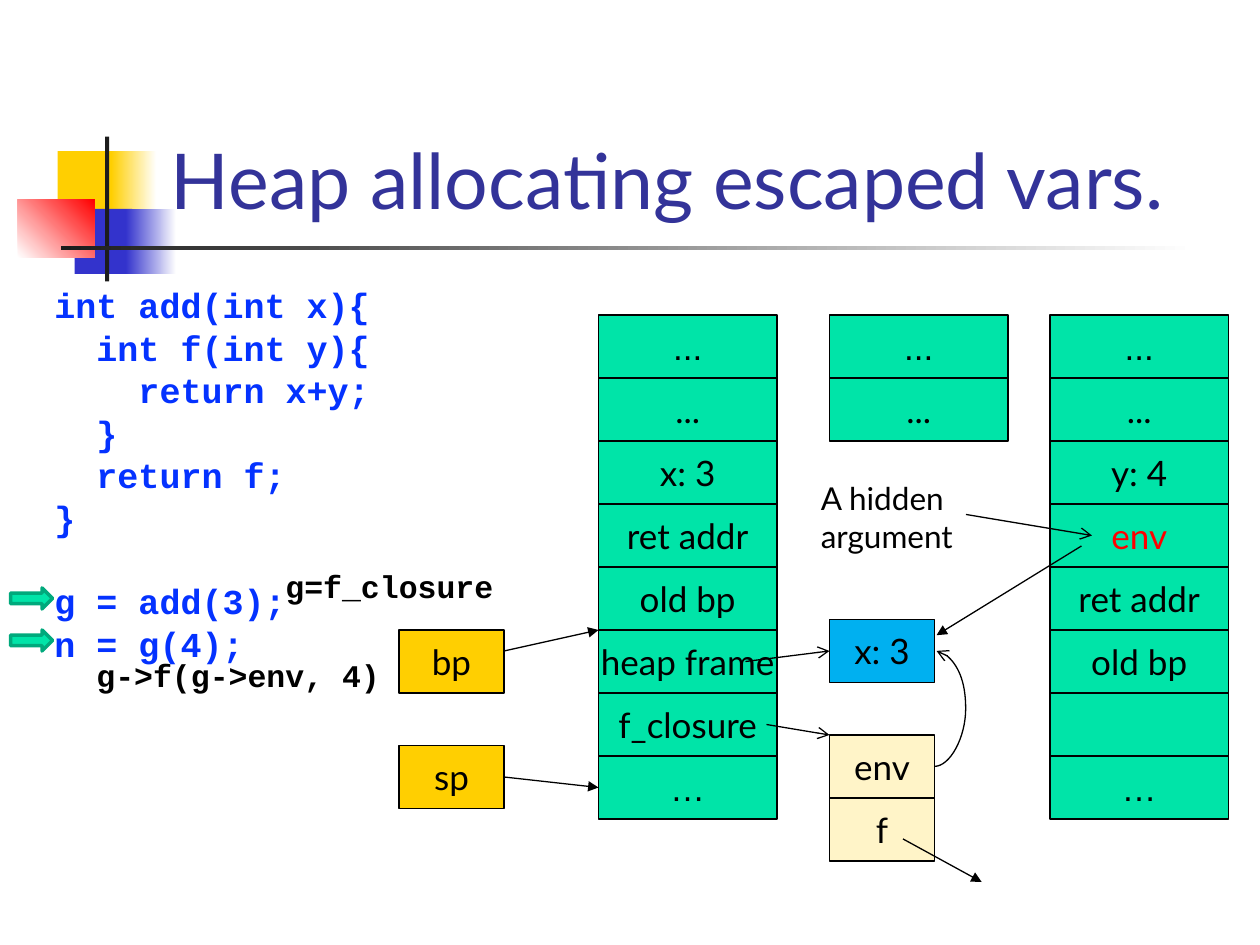
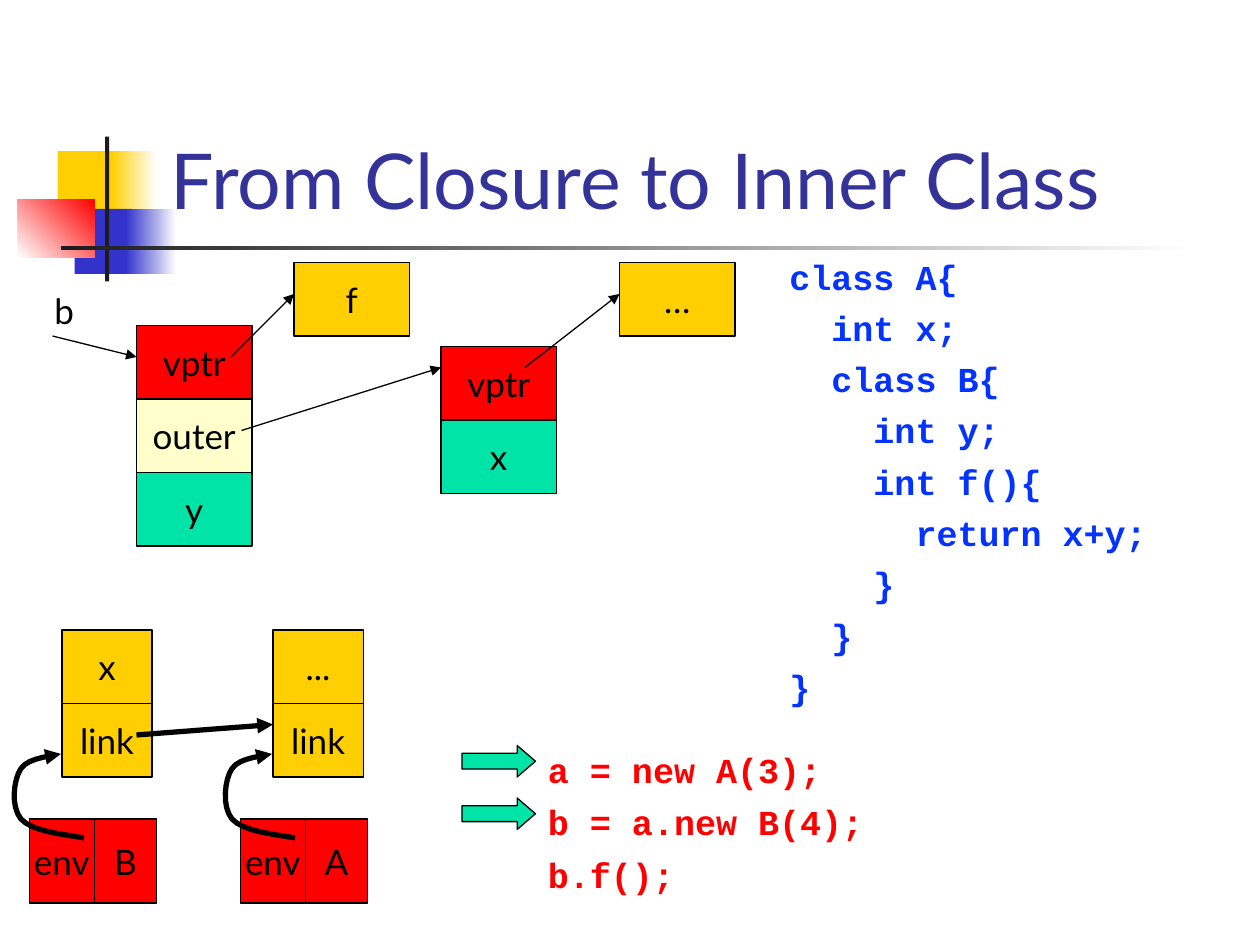
"""Build two slides on heap-allocated closures and inner classes."""
from dataclasses import dataclass
from typing import Optional

from lxml import etree
from pptx import Presentation, util as u
from pptx.dml.color import RGBColor
from pptx.enum import shapes as s, text as t
from pptx.oxml.ns import qn

PX = u.Inches(1) // 120


@dataclass(frozen=True)
class Theme:
    """Colours, fonts and type sizes."""
    black: str = "000000"
    white: str = "FFFFFF"
    ink: str = "1C1C1C"
    title: str = "333399"
    code: str = "0432FF"
    red: str = "FF0000"
    yellow: str = "FFCF01"
    indigo: str = "3333CC"
    green: str = "00E4A8"
    dark_green: str = "00A97C"
    sky: str = "00B0F0"
    cream: str = "FFF4C8"
    ivory: str = "FFFFCC"
    sans: str = "Lato"
    dots: str = "Arial"
    mono: str = "Courier New"
    title_size: int = 44
    body_size: int = 20
    note_size: int = 18


THEME = Theme()


@dataclass(frozen=True)
class Band:
    """A decorative block, fading to a second colour when one is given."""
    x: int
    y: int
    w: int
    h: int
    color: str
    fade: Optional[str] = None
    angle: int = 0


@dataclass(frozen=True)
class Cell:
    """One labelled memory slot."""
    label: str
    fill: str = THEME.green
    color: str = THEME.black
    font: str = THEME.sans


@dataclass(frozen=True)
class Stack:
    """Memory slots of equal size, piled downwards."""
    x: int
    y: int
    w: int
    h: int
    cells: tuple[Cell, ...]


@dataclass(frozen=True)
class Arrow:
    """A straight pointer between two points."""
    x1: int
    y1: int
    x2: int
    y2: int
    head: str = "triangle"
    width: float = 0.75


BANDS = (
    Band(55, 144, 58, 62, THEME.yellow),
    Band(106, 144, 43, 62, THEME.yellow, THEME.white),
    Band(71, 199, 55, 62, THEME.indigo),
    Band(120, 199, 48, 62, THEME.indigo, THEME.white),
    Band(17, 190, 73, 55, THEME.white, THEME.red, 45),
    Band(100, 130, 4, 138, THEME.ink),
    Band(58, 234, 1080, 4, THEME.ink, THEME.white),
)


def rgb(color: str) -> RGBColor:
    """Turn a hex string into a colour."""
    return RGBColor.from_string(color)


def write(frame, content: str, *, size=THEME.body_size, font=THEME.sans, color=THEME.black,
          bold=False, align=t.PP_ALIGN.LEFT, anchor=t.MSO_ANCHOR.TOP, wrap=True,
          spacing=None, before=0.0) -> None:
    """Fill a text frame, one paragraph a line; an empty line becomes a gap."""
    frame.word_wrap = wrap
    frame.vertical_anchor = anchor
    gap = 0.0
    fresh = True
    for line in content.split("\n"):
        if not line:
            gap = before + size * 1.133 * (spacing or 1)
            continue
        paragraph = frame.paragraphs[0] if fresh else frame.add_paragraph()
        paragraph.alignment = align
        if spacing:
            paragraph.line_spacing = spacing
        paragraph.space_before = u.Pt(0 if fresh else round(before + gap, 1))
        run = paragraph.add_run()
        run.text = line
        run.font.size, run.font.name, run.font.bold = u.Pt(size), font, bold
        run.font.color.rgb = rgb(color)
        gap, fresh = 0.0, False


def label(slide, x: int, y: int, w: int, h: int, content: str, **style) -> None:
    """Place free text."""
    write(slide.shapes.add_textbox(x * PX, y * PX, w * PX, h * PX).text_frame, content, **style)


def block(slide, kind, x: int, y: int, w: int, h: int, fill: str,
          line: Optional[str] = THEME.black, width: float = 0.75):
    """Place a filled preset shape."""
    shape = slide.shapes.add_shape(kind, x * PX, y * PX, w * PX, h * PX)
    shape.shadow.inherit = False
    shape.fill.solid()
    shape.fill.fore_color.rgb = rgb(fill)
    if line:
        shape.line.color.rgb = rgb(line)
        shape.line.width = u.Pt(width)
    else:
        shape.line.fill.background()
    return shape


def draw_band(slide, band: Band) -> None:
    """Draw a decorative block."""
    shape = block(slide, s.MSO_SHAPE.RECTANGLE, band.x, band.y, band.w, band.h, band.color, None)
    if band.fade:
        shape.fill.gradient()
        shape.fill.gradient_angle = band.angle
        for stop, color, place in zip(shape.fill.gradient_stops, (band.color, band.fade), (0, 1)):
            stop.color.rgb = rgb(color)
            stop.position = place


def draw_stack(slide, stack: Stack) -> None:
    """Draw every slot of a stack."""
    for row, cell in enumerate(stack.cells):
        slot = block(slide, s.MSO_SHAPE.RECTANGLE, stack.x, stack.y + row * stack.h,
                     stack.w, stack.h, cell.fill)
        if cell.label:
            write(slot.text_frame, cell.label, font=cell.font, color=cell.color, wrap=False,
                  align=t.PP_ALIGN.CENTER, anchor=t.MSO_ANCHOR.MIDDLE)


def style_pointer(pointer, head: str, width: float) -> None:
    """Give a line its colour, width and arrowhead."""
    pointer.line.color.rgb = rgb(THEME.black)
    pointer.line.width = u.Pt(width)
    etree.SubElement(pointer.line._get_or_add_ln(), qn("a:tailEnd"), type=head)


def draw_arrow(slide, arrow: Arrow, bulge: Optional[int] = None) -> None:
    """Draw a pointer, curved when a bulge in px is given."""
    kind = s.MSO_CONNECTOR.CURVE if bulge else s.MSO_CONNECTOR.STRAIGHT
    pointer = slide.shapes.add_connector(kind, arrow.x1 * PX, arrow.y1 * PX,
                                         arrow.x2 * PX, arrow.y2 * PX)
    style_pointer(pointer, arrow.head, arrow.width)
    properties = pointer._element.spPr
    etree.SubElement(properties, qn("a:effectLst"))
    if bulge:
        guides = properties.find(qn("a:prstGeom")).get_or_add_avLst()
        ratio = bulge * 100000 // (arrow.x2 - arrow.x1)
        etree.SubElement(guides, qn("a:gd"), name="adj1", fmla=f"val {ratio}")


def draw_env_hook(slide, x: int) -> None:
    """Draw the curved pointer from an env slot up to its link slot."""
    knots = ((70, 80), (45, 76), (20, 73), (10, 62), (0, 50), (3, 24), (10, 14),
             (17, 3), (42, 2), (48, 0))
    points = []
    for first in range(0, 9, 3):
        for step in range(1, 9):
            k = step / 8
            weights = ((1 - k) ** 3, 3 * k * (1 - k) ** 2, 3 * k * k * (1 - k), k ** 3)
            points.append(tuple(
                round(PX * (start + sum(a * knot[axis] for a, knot in
                                        zip(weights, knots[first:first + 4]))))
                for axis, start in enumerate((x, 718))))
    builder = slide.shapes.build_freeform((x + 70) * PX, 798 * PX)
    builder.add_line_segments(points, close=False)
    hook = builder.convert_to_shape()
    hook.shadow.inherit = False
    hook.fill.background()
    style_pointer(hook, "triangle", 3)


def new_slide(deck, title: str):
    """Add a slide with the shared bands and title."""
    slide = deck.slides.add_slide(deck.slide_layouts[6])
    for band in BANDS:
        draw_band(slide, band)
    label(slide, 151, 28, 1022, 192, title, size=THEME.title_size, color=THEME.title,
          anchor=t.MSO_ANCHOR.BOTTOM)
    return slide


def heap_slide(deck) -> None:
    """Draw the frames and heap objects of a closure call."""
    slide = new_slide(deck, "Heap allocating escaped vars.")
    code = """int add(int x){
  int f(int y){
    return x+y;
  }
  return f;
}

g = add(3);
n = g(4);"""
    label(slide, 40, 272, 520, 579, code, font=THEME.mono, color=THEME.code, bold=True,
          spacing=0.8, before=5.1)
    top = (Cell("...", font=THEME.dots), Cell("..."))
    bottom = Cell("…", font=THEME.dots)
    caller = (Cell("x: 3"), Cell("ret addr"), Cell("old bp"), Cell("heap frame"),
              Cell("f_closure"), bottom)
    callee = (Cell("y: 4"), Cell("env", color=THEME.red), Cell("ret addr"), Cell("old bp"),
              Cell(""), bottom)
    for x, frame in ((570, caller), (790, ()), (1000, callee)):
        draw_stack(slide, Stack(x, 300, 170, 60, top + frame))
    for x, y, cells in (
        (380, 600, (Cell("bp", THEME.yellow),)),
        (380, 710, (Cell("sp", THEME.yellow),)),
        (790, 590, (Cell("x: 3", THEME.sky),)),
        (790, 700, (Cell("env", THEME.cream), Cell("f", THEME.cream))),
    ):
        draw_stack(slide, Stack(x, y, 100, 60, cells))
    for y in (560, 600):
        block(slide, s.MSO_SHAPE.RIGHT_ARROW, 10, y, 40, 20, THEME.green, THEME.dark_green, 2)
    for arrow in (
        Arrow(480, 620, 570, 600), Arrow(480, 740, 570, 750),
        Arrow(710, 630, 790, 620, "arrow"), Arrow(730, 690, 790, 700, "arrow"),
        Arrow(920, 490, 1040, 510, "arrow"), Arrow(860, 799, 935, 840),
        Arrow(1030, 520, 892, 605),
    ):
        draw_arrow(slide, arrow)
    draw_arrow(slide, Arrow(890, 730, 892, 620, "arrow"), bulge=30)
    label(slide, 770, 450, 190, 85, "A hidden argument", size=THEME.note_size)
    for x, y, w, note in ((260, 541, 260, "g=f_closure"), (80, 626, 299, "g->f(g->env, 4)")):
        label(slide, x, y, w, 43, note, size=THEME.note_size, font=THEME.mono, bold=True,
              spacing=0.8)


def inner_class_slide(deck) -> None:
    """Draw the objects behind an inner class beside the closure view."""
    slide = new_slide(deck, "From Closure to Inner Class")
    vptr = Cell("vptr", THEME.red)
    for x, y, cells in (
        (420, 330, (vptr, Cell("x"))),
        (130, 310, (vptr, Cell("outer", THEME.ivory), Cell("y"))),
        (590, 250, (Cell("…", THEME.yellow),)),
        (280, 250, (Cell("f", THEME.yellow),)),
    ):
        draw_stack(slide, Stack(x, y, 110, 70, cells))
    for x, name, variable in ((28, "B", "x"), (229, "A", "...")):
        draw_stack(slide, Stack(x, 780, 62, 80, (Cell("env", THEME.red),)))
        draw_stack(slide, Stack(x + 62, 780, 59, 80, (Cell(name, THEME.red),)))
        draw_env_hook(slide, x - 18)
        draw_stack(slide, Stack(x + 31, 600, 86, 70, (Cell(variable, THEME.yellow),
                                                      Cell("link", THEME.yellow))))
    for arrow in (
        Arrow(500, 350, 590, 280), Arrow(220, 340, 280, 280), Arrow(230, 410, 420, 350),
        Arrow(50, 320, 130, 340), Arrow(130, 700, 260, 690, width=3),
    ):
        draw_arrow(slide, arrow)
    for y in (710, 760):
        marker = block(slide, s.MSO_SHAPE.RIGHT_ARROW, 440, y, 70, 30, THEME.green)
        marker.adjustments[0], marker.adjustments[1] = 0.5, 0.58
    label(slide, 40, 270, 60, 52, "b")
    code = """class A{
  int x;
  class B{
    int y;
    int f(){
      return x+y;
    }
  }
}"""
    label(slide, 740, 237, 440, 540, code, font=THEME.mono, color=THEME.code, bold=True,
          before=5.3)
    label(slide, 510, 707, 340, 150, "a = new A(3);\nb = a.new B(4);\nb.f();",
          font=THEME.mono, color=THEME.red, bold=True, before=5.9)


def main() -> None:
    """Build and save the deck."""
    deck = Presentation()
    deck.slide_width, deck.slide_height = 1200 * PX, 900 * PX
    heap_slide(deck)
    inner_class_slide(deck)
    deck.save("out.pptx")


if __name__ == "__main__":
    main()
